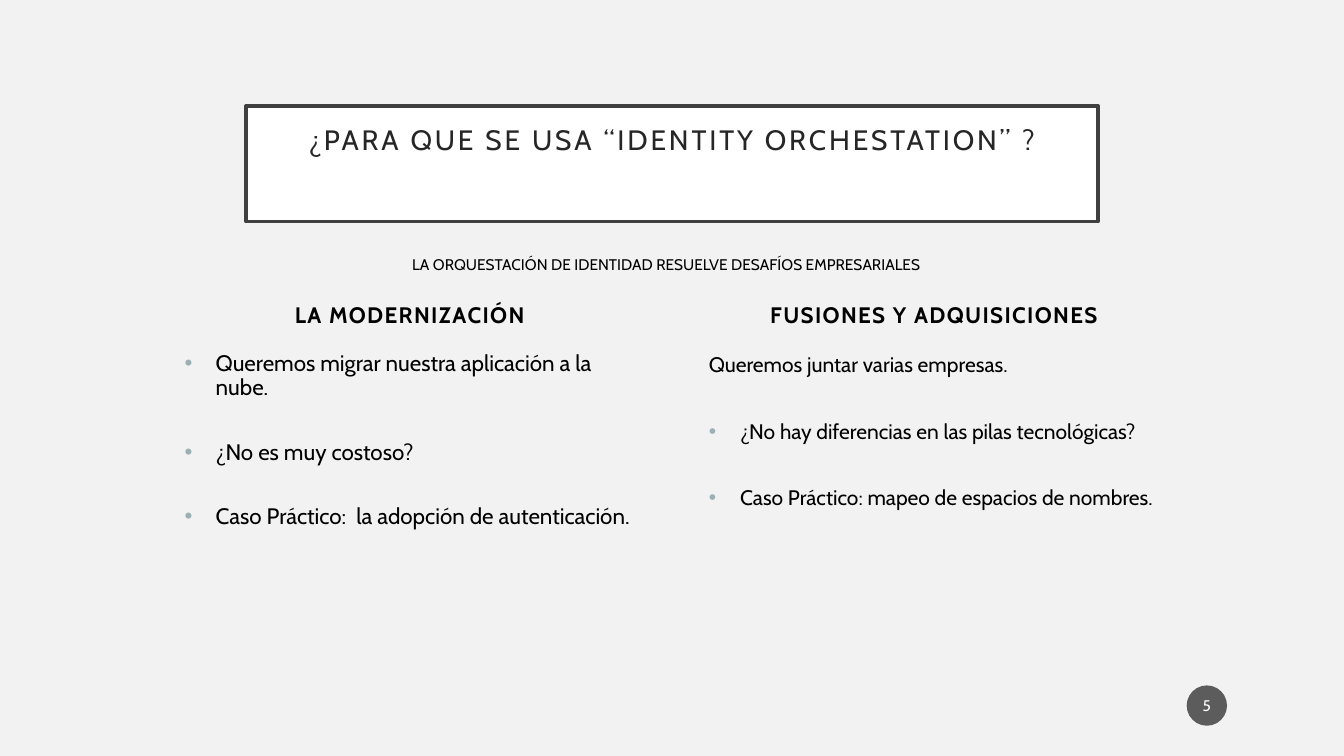
from dataclasses import dataclass

from lxml import etree
from pptx import Presentation
from pptx import util as u
from pptx.dml.color import RGBColor
from pptx.enum import shapes, text
from pptx.oxml import ns

PX = u.Inches(1) // 100  # one px is a hundredth of an inch
FONT = "Cabin"
COMPARISON_LAYOUT = 4
INDENT = 31

BACKGROUND = RGBColor(0xF2, 0xF2, 0xF2)
WHITE = RGBColor(0xFF, 0xFF, 0xFF)
BLACK = RGBColor(0x00, 0x00, 0x00)
FRAME = RGBColor(0x40, 0x40, 0x40)
TITLE_INK = RGBColor(0x26, 0x26, 0x26)
BADGE = RGBColor(0x1D, 0x1D, 0x1D)
BULLET = RGBColor(0x9B, 0xAF, 0xB5)


@dataclass(frozen=True)
class Style:
    size: int
    color: RGBColor = BLACK
    bold: bool = False
    tracking: int = 0
    align: text.PP_ALIGN = text.PP_ALIGN.LEFT
    line: float = 1.0
    before: float = 0
    after: float = 0


@dataclass(frozen=True)
class Item:
    words: str
    bulleted: bool = True


@dataclass(frozen=True)
class Column:
    left: int
    width: int
    heading_slot: int
    list_slot: int
    heading: str
    items: tuple[Item, ...]
    style: Style


CENTER = text.PP_ALIGN.CENTER
TITLE = Style(20, TITLE_INK, tracking=2, align=CENTER, line=0.9)
HEADING = Style(16, bold=True, tracking=1, align=CENTER, before=10)
SUBTITLE = Style(11)
NUMBER = Style(11, WHITE, align=CENTER)

COLUMNS = (
    Column(173, 467, 1, 2, "LA MODERNIZACIÓN", (
        Item("Queremos migrar nuestra aplicación a la nube."),
        Item("¿No es muy costoso?"),
        Item("Caso Práctico:  la adopción de autenticación."),
    ), Style(16, line=0.9, after=29)),
    Column(693, 465, 3, 4, "FUSIONES Y ADQUISICIONES", (
        Item("Queremos juntar varias empresas.", bulleted=False),
        Item("¿No hay diferencias en las pilas tecnológicas?"),
        Item("Caso Práctico: mapeo de espacios de nombres."),
    ), Style(15, after=29.5)),
)


def place(box, left: int, top: int, width: int, height: int) -> None:
    box.left, box.top = left * PX, top * PX
    box.width, box.height = width * PX, height * PX


def set_frame(box, anchor: text.MSO_ANCHOR, side: int = 10, end: int = 5) -> None:
    frame = box.text_frame
    frame.word_wrap = True
    frame.auto_size = text.MSO_AUTO_SIZE.NONE
    frame.vertical_anchor = anchor
    frame.margin_left = frame.margin_right = side * PX
    frame.margin_top = frame.margin_bottom = end * PX


def write(para, words: str, style: Style) -> None:
    para.alignment = style.align
    para.line_spacing = style.line
    para.space_before = u.Pt(style.before)
    para.space_after = u.Pt(style.after)
    span = para.add_run()
    span.text = words
    span.font.name = FONT
    span.font.size = u.Pt(style.size)
    span.font.bold = style.bold
    span.font.color.rgb = style.color
    if style.tracking:
        span.font._element.set("spc", str(style.tracking * 100))


def set_bullet(para, bulleted: bool) -> None:
    props = para._p.get_or_add_pPr()
    indent = INDENT * PX if bulleted else 0
    props.set("marL", str(indent))
    props.set("indent", str(-indent))
    if not bulleted:
        etree.SubElement(props, ns.qn("a:buNone"))
        return
    color = etree.SubElement(props, ns.qn("a:buClr"))
    etree.SubElement(color, ns.qn("a:srgbClr"), val=str(BULLET))
    etree.SubElement(props, ns.qn("a:buFont"), typeface="Arial")
    etree.SubElement(props, ns.qn("a:buChar"), char="•")


def draw_title(page) -> None:
    box = page.shapes.title
    place(box, 244, 105, 845, 115)
    set_frame(box, text.MSO_ANCHOR.TOP, 20, 20)
    box.fill.solid()
    box.fill.fore_color.rgb = WHITE
    box.line.color.rgb = FRAME
    box.line.width = u.Pt(2.5)
    write(box.text_frame.paragraphs[0],
          "¿PARA QUE SE USA “IDENTITY ORCHESTATION” ?", TITLE)


def draw_column(page, column: Column) -> None:
    slots = {box.placeholder_format.idx: box for box in page.placeholders}

    heading = slots[column.heading_slot]
    place(heading, column.left, 253, 467, 77)
    set_frame(heading, text.MSO_ANCHOR.BOTTOM)
    heading_para = heading.text_frame.paragraphs[0]
    write(heading_para, column.heading, HEADING)
    set_bullet(heading_para, False)

    body = slots[column.list_slot]
    place(body, column.left, 344, column.width, 284)
    set_frame(body, text.MSO_ANCHOR.TOP)
    for index, item in enumerate(column.items):
        frame = body.text_frame
        para = frame.add_paragraph() if index else frame.paragraphs[0]
        write(para, item.words, column.style)
        set_bullet(para, item.bulleted)


def draw_subtitle(page) -> None:
    box = page.shapes.add_textbox(0, 0, 0, 0)
    place(box, 399, 248, 532, 29)
    set_frame(box, text.MSO_ANCHOR.TOP)
    write(box.text_frame.paragraphs[0],
          "LA ORQUESTACIÓN DE IDENTIDAD RESUELVE DESAFÍOS EMPRESARIALES", SUBTITLE)


def draw_page_number(page) -> None:
    box = page.shapes.add_shape(shapes.MSO_SHAPE.OVAL, 0, 0, 0, 0)
    place(box, 1177, 680, 40, 40)
    set_frame(box, text.MSO_ANCHOR.MIDDLE, 2, 5)
    box.shadow.inherit = False
    box.line.fill.background()
    box.fill.solid()
    box.fill.fore_color.rgb = BADGE
    color = box._element.spPr.find(".//" + ns.qn("a:srgbClr"))
    etree.SubElement(color, ns.qn("a:alpha"), val="70000")
    write(box.text_frame.paragraphs[0], "5", NUMBER)


def main() -> None:
    deck = Presentation()
    deck.slide_width, deck.slide_height = 1333 * PX, 750 * PX
    page = deck.slides.add_slide(deck.slide_layouts[COMPARISON_LAYOUT])
    page.background.fill.solid()
    page.background.fill.fore_color.rgb = BACKGROUND

    # Two columns of challenges
    for column in COLUMNS:
        draw_column(page, column)

    # Page number, framed title and subtitle
    draw_page_number(page)
    draw_title(page)
    draw_subtitle(page)

    deck.save("out.pptx")


if __name__ == "__main__":
    main()
